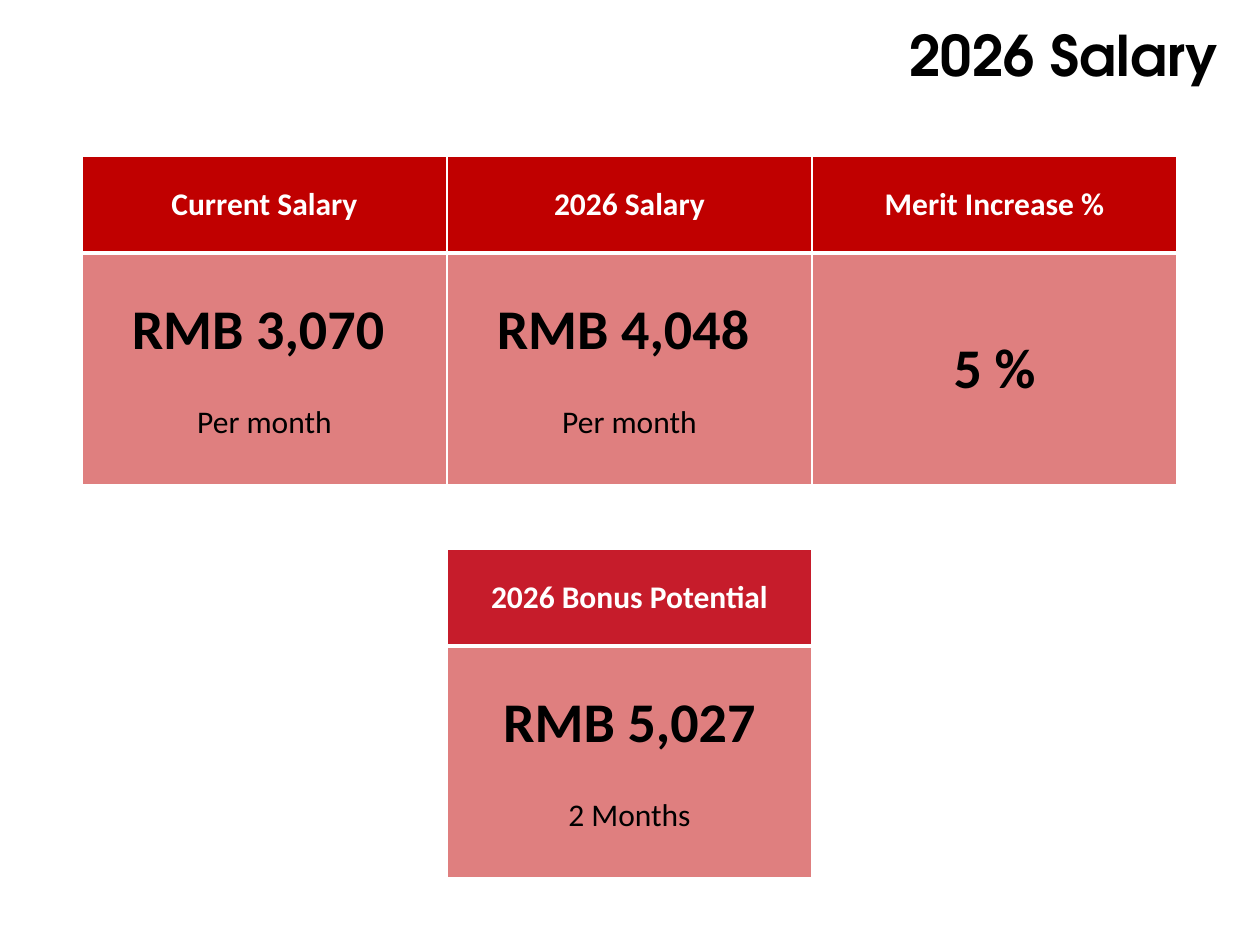
from dataclasses import dataclass

from lxml.etree import SubElement
from pptx import Presentation
from pptx.dml.color import RGBColor
from pptx.enum.text import MSO_ANCHOR, PP_ALIGN
from pptx.oxml import parse_xml
from pptx.oxml.ns import nsdecls, qn
from pptx.util import Pt

PX = 914400 / 126  # EMU per px
COLORS = {
    "black": "000000",
    "white": "FFFFFF",
    "red": "C00000",
    "crimson": "C61C2B",
    "pink": "DF7F7F",
}
TITLE = {"name": "TeX Gyre Adventor", "size": Pt(32), "bold": True}
HEAD = {"name": "Calibri", "size": Pt(18), "bold": True}
AMOUNT = {"name": "Calibri", "size": Pt(32), "bold": True}
NOTE = {"name": "Calibri", "size": Pt(18), "bold": False}

# Card grid, in px
LEFT, TOP, CARD_W, ROW_STEP = 82, 156, 365, 393
HEAD_H, BODY_H = 97, 232


@dataclass
class Card:
    col: int
    row: int
    head: str
    amount: str
    note: str = ""
    head_fill: str = "red"
    body_fill: str = "red"
    body_alpha: int = 50


CARDS = [
    Card(0, 0, "Current Salary", "RMB 3,070 ", "Per month"),
    Card(1, 1, "2026 Bonus Potential", "RMB 5,027", "2 Months", "crimson", "pink", 100),
    Card(1, 0, "2026 Salary", "RMB 4,048 ", "Per month"),
    Card(2, 0, "Merit Increase %", "5 %"),
]


def px(n: int) -> int:
    return round(n * PX)


def rgb(name: str) -> RGBColor:
    return RGBColor.from_string(COLORS[name])


def write(p, text: str, fmt: dict, color: str, align=PP_ALIGN.CENTER) -> None:
    p.alignment = align
    r = p.add_run()
    r.text = text
    for attr, value in fmt.items():
        setattr(r.font, attr, value)
    r.font.color.rgb = rgb(color)


def style_cell(cell, fill: str, alpha: int, bottom: int) -> None:
    """Fill a cell and give it white borders; bottom is a width in points."""
    cell.vertical_anchor = MSO_ANCHOR.MIDDLE
    cell.fill.solid()
    cell.fill.fore_color.rgb = rgb(fill)
    tc_pr = cell._tc.get_or_add_tcPr()
    if alpha < 100:
        clr = tc_pr.find(".//" + qn("a:srgbClr"))
        SubElement(clr, qn("a:alpha"), val=str(alpha * 1000))
    for i, (side, width) in enumerate(zip("LRTB", (1, 1, 1, bottom))):
        tc_pr.insert(i, parse_xml(
            f'<a:ln{side} {nsdecls("a")} w="{Pt(width)}"><a:solidFill>'
            f'<a:srgbClr val="{COLORS["white"]}"/></a:solidFill></a:ln{side}>'))


def add_card(s, card: Card) -> None:
    x, y = LEFT + card.col * CARD_W, TOP + card.row * ROW_STEP
    frame = s.shapes.add_table(2, 1, px(x), px(y), px(CARD_W), px(HEAD_H + BODY_H))
    table = frame.table
    table.horz_banding = False
    table.rows[0].height, table.rows[1].height = px(HEAD_H), px(BODY_H)
    head, body = table.cell(0, 0), table.cell(1, 0)
    style_cell(head, card.head_fill, 100, 3)
    style_cell(body, card.body_fill, card.body_alpha, 1)

    write(head.text_frame.paragraphs[0], card.head, HEAD, "white")
    tf = body.text_frame
    write(tf.paragraphs[0], card.amount, AMOUNT, "black")
    if card.note:
        p = tf.add_paragraph()
        p.space_before = Pt(22)
        write(p, card.note, NOTE, "black")


def main() -> None:
    prs = Presentation()
    prs.slide_width, prs.slide_height = px(1260), px(945)
    s = prs.slides.add_slide(prs.slide_layouts[6])

    # Title
    tf = s.shapes.add_textbox(px(442), px(14), px(789), px(140)).text_frame
    tf.word_wrap = True
    write(tf.paragraphs[0], "2026 Salary", TITLE, "black", PP_ALIGN.RIGHT)

    # Salary and bonus cards
    for card in CARDS:
        add_card(s, card)

    prs.save("out.pptx")


if __name__ == "__main__":
    main()
